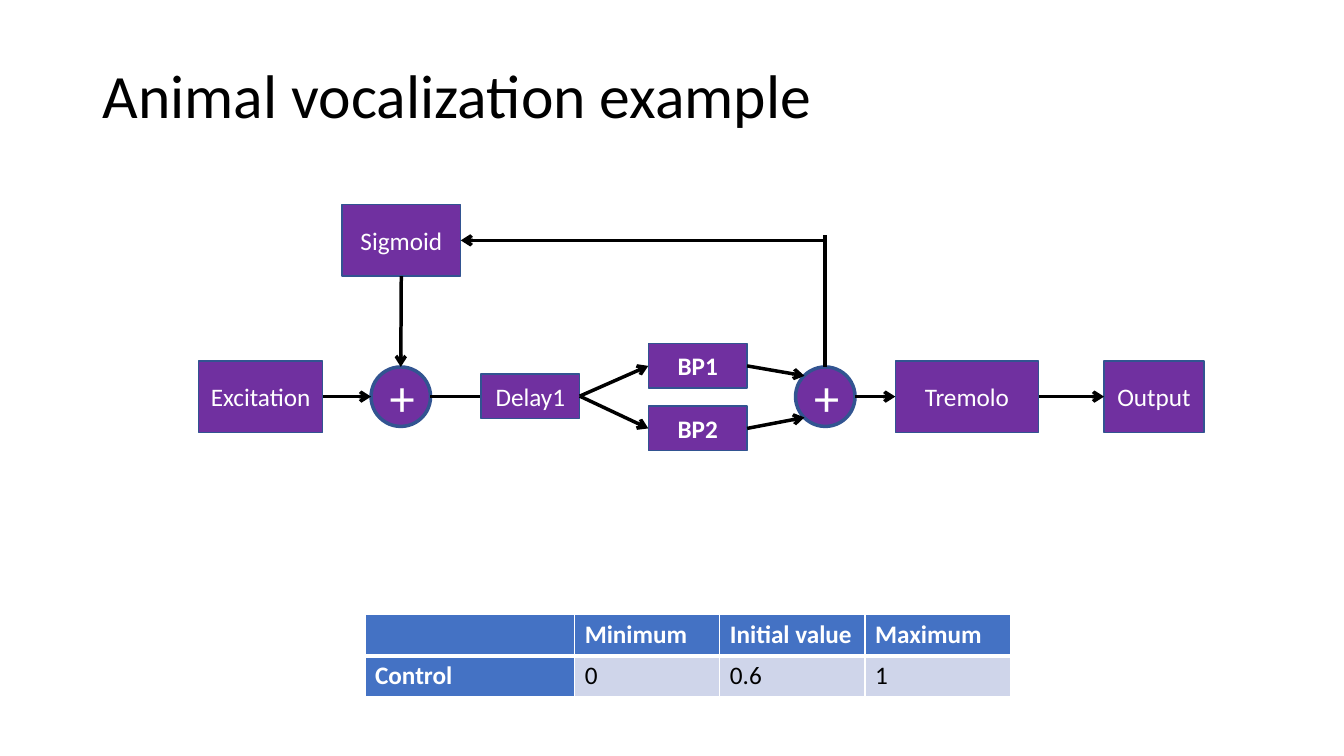
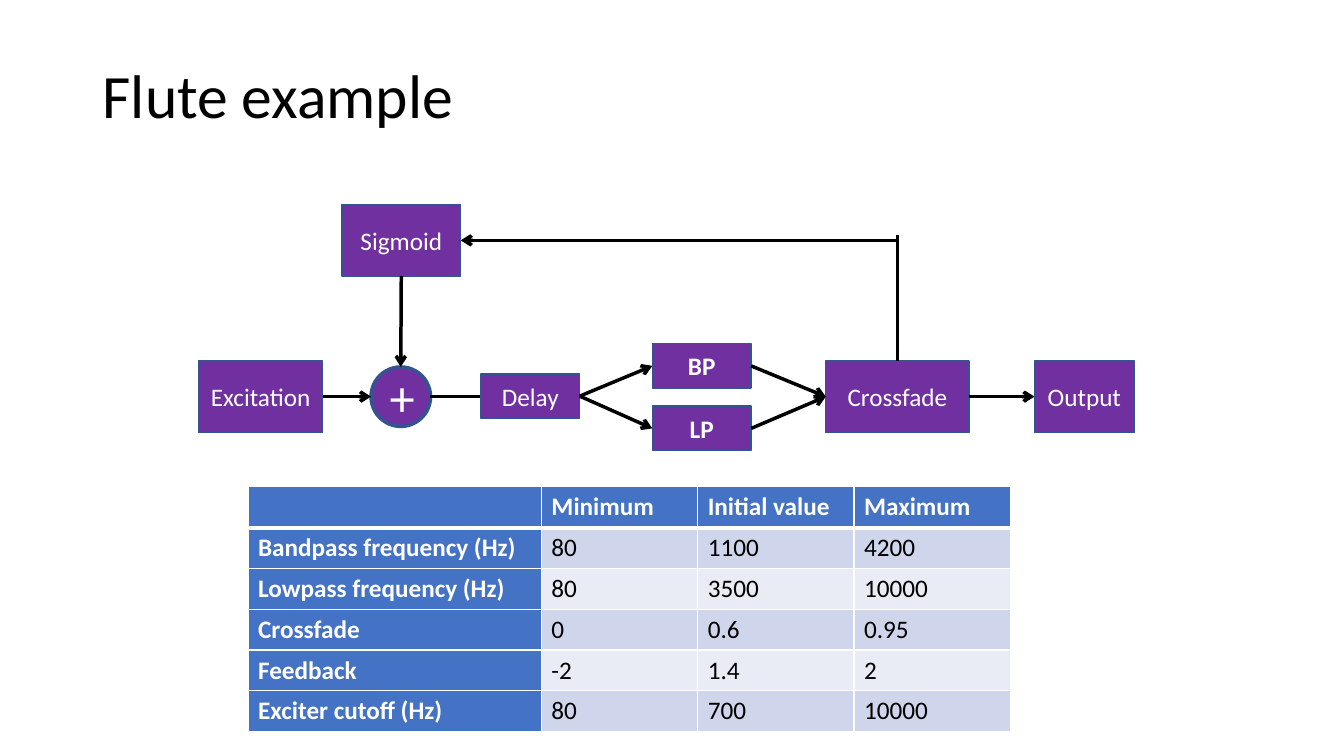
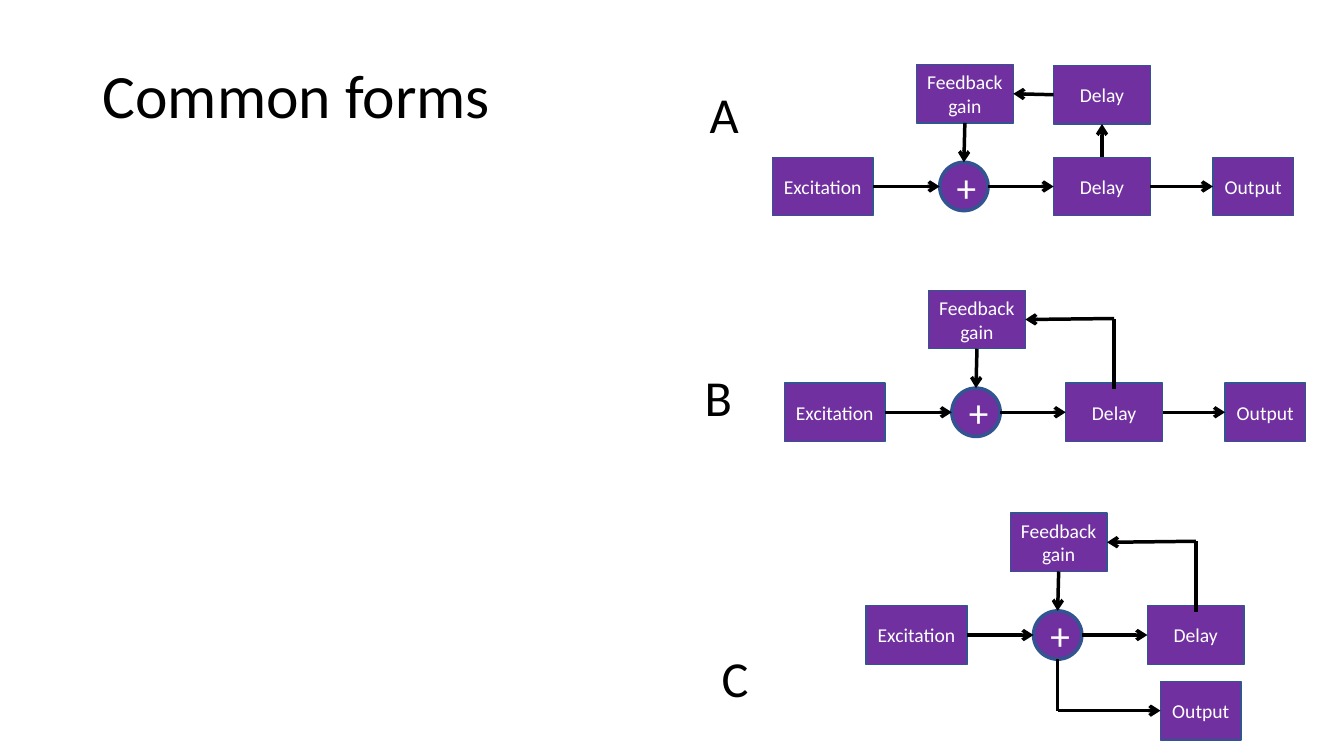
from lxml import etree
from pptx import Presentation
from pptx import util as u
from pptx.dml.color import RGBColor
from pptx.enum import shapes, text
from pptx.oxml import ns

PX = 9144  # 100 px to the inch
FONT = "Calibri"
BLACK = RGBColor(0x00, 0x00, 0x00)
WHITE = RGBColor(0xFF, 0xFF, 0xFF)
PURPLE = RGBColor(0x70, 0x30, 0xA0)
EDGE = RGBColor(0x32, 0x54, 0x91)
BLUE = RGBColor(0x44, 0x72, 0xC4)
BANDS = (RGBColor(0xCF, 0xD5, 0xEA), RGBColor(0xE9, 0xEB, 0xF5))

RECT = shapes.MSO_SHAPE.RECTANGLE
OVAL = shapes.MSO_SHAPE.OVAL
LEFT, RIGHT, TOP, BOTTOM = (0, 0.5), (1, 0.5), (0.5, 0), (0.5, 1)


def emu(*sizes):
    return [u.Emu(round(size * PX)) for size in sizes]


def shift(origin, box):
    return (origin[0] + box[0], origin[1] + box[1], *box[2:])


def spot(box, side):
    """Point of a box at the given fractions of its width and height."""
    x, y, w, h = box
    return x + w * side[0], y + h * side[1]


def write(para, words, size, color=WHITE, bold=False):
    para.text = words
    look = {"name": FONT, "size": u.Pt(size), "bold": bold}
    for run in para.runs:
        for key, value in look.items():
            setattr(run.font, key, value)
        run.font.color.rgb = color


def label(slide, box, words, size, wrap=False):
    frame = slide.shapes.add_textbox(*emu(*box)).text_frame
    frame.word_wrap = wrap
    write(frame.paragraphs[0], words, size, BLACK)
    return frame


def start(deck, title):
    """Add a blank slide with the shared title."""
    slide = deck.slides.add_slide(deck.slide_layouts[6])
    frame = label(slide, (92, 40, 1150, 116), title, 44, wrap=True)
    frame.vertical_anchor = text.MSO_ANCHOR.MIDDLE
    frame.paragraphs[0].line_spacing = 0.9
    return slide


def block(slide, box, words, size, bold=False, kind=RECT, edge=1):
    shape = slide.shapes.add_shape(kind, *emu(*box))
    shape.shadow.inherit = False
    shape.fill.solid()
    shape.fill.fore_color.rgb = PURPLE
    shape.line.color.rgb = EDGE
    shape.line.width = u.Pt(edge)
    frame = shape.text_frame
    frame.word_wrap = True
    frame.vertical_anchor = text.MSO_ANCHOR.MIDDLE
    para = frame.paragraphs[0]
    para.alignment = text.PP_ALIGN.CENTER
    write(para, words, size, WHITE, bold)
    return box


def adder(slide, box, size):
    return block(slide, box, "+", size, kind=OVAL, edge=2.5)


def link(slide, tail, head, arrow=True):
    line = slide.shapes.add_connector(
        shapes.MSO_CONNECTOR.STRAIGHT, *emu(*tail, *head))
    line.line.width = u.Pt(2.5)
    line.line.color.rgb = BLACK
    if arrow:
        etree.SubElement(line.get_or_add_ln(), ns.qn("a:tailEnd"), type="arrow")
    etree.SubElement(line.element.spPr, ns.qn("a:effectLst"))


def border(cell, top, bottom):
    props = cell._tc.get_or_add_tcPr()
    for side, width in {"L": 1, "R": 1, "T": top, "B": bottom}.items():
        line = etree.SubElement(props, ns.qn("a:ln" + side), w=str(u.Pt(width)))
        fill = etree.SubElement(line, ns.qn("a:solidFill"))
        etree.SubElement(fill, ns.qn("a:srgbClr"), val=str(WHITE))


def grid(slide, origin, widths, rows):
    """Table of control ranges under a shared header."""
    rows = [("", "Minimum", "Initial value", "Maximum"), *rows]
    high = 40.5
    box = (*origin, sum(widths), high * len(rows))
    table = slide.shapes.add_table(len(rows), len(widths), *emu(*box)).table
    table.first_col = True
    for col, width in zip(table.columns, emu(*widths)):
        col.width = width
    for r, row in enumerate(rows):
        table.rows[r].height = emu(high)[0]
        for c, words in enumerate(row):
            cell = table.cell(r, c)
            head = r == 0 or c == 0
            border(cell, 3 if r == 1 else 1, 3 if r == 0 else 1)
            cell.fill.solid()
            cell.fill.fore_color.rgb = BLUE if head else BANDS[(r - 1) % 2]
            if words:
                write(cell.text_frame.paragraphs[0], words, 18,
                      WHITE if head else BLACK, head)


def patch(slide, origin, delay, bands, left, last, far, mix=None):
    """Feedback patch: two filters from x left, then a last stage at x far.

    With mix, the filters meet in an adder at that x before the last stage.
    """
    def part(box, words, bold=False):
        return block(slide, shift(origin, box), words, 18, bold)

    source = part((0, 155, 123, 71), "Excitation")
    gain = part((142, 0, 118, 71), "Sigmoid")
    stage = part((far, 155, 142, 71), last)
    out = part((far + 207, 155, 99, 71), "Output")
    plus = adder(slide, shift(origin, (171, 161, 59, 59)), 36)
    hub, ports = stage, (LEFT, LEFT)
    if mix:
        hub = adder(slide, shift(origin, (mix, 161, 59, 59)), 36)
        ports = (0.15, 0.15), (0.15, 0.85)
        link(slide, spot(hub, RIGHT), spot(stage, LEFT))

    x, y = spot(plus, RIGHT)
    link(slide, (x, y), (x + 65, y))
    wait = part((280, 168, 98, 44), delay)
    for top, name, port in zip((138, 200), bands, ports):
        band = part((left, top, 98, 44), name, True)
        link(slide, spot(wait, RIGHT), spot(band, LEFT))
        link(slide, spot(band, RIGHT), spot(hub, port))

    link(slide, spot(source, RIGHT), spot(plus, LEFT))
    link(slide, spot(gain, BOTTOM), spot(plus, TOP))
    link(slide, spot(stage, RIGHT), spot(out, LEFT))
    x, y = spot(gain, RIGHT)
    turn = spot(hub, TOP)[0]
    link(slide, spot(hub, TOP), (turn, y - 5), arrow=False)
    link(slide, (turn, y), (x, y))


def form(slide, origin, twin=False, tap=False):
    """Small loop; twin adds a second delay, tap takes the output at the adder."""
    def part(box, words):
        return block(slide, shift(origin, box), words, 14)

    source = part((0, 92, 100, 58), "Excitation")
    delay = part((279, 92, 96, 58), "Delay")
    gain = part((143, 0, 96, 58), "Feedback\ngain")
    out = part((292, 167, 80, 58) if tap else (437, 92, 80, 58), "Output")
    plus = adder(slide, shift(origin, (166, 97, 48, 48)), 28)
    link(slide, spot(source, RIGHT), spot(plus, LEFT))
    link(slide, spot(gain, BOTTOM), spot(plus, TOP))
    link(slide, spot(plus, RIGHT), spot(delay, LEFT))

    if twin:
        back = part((279, 1, 96, 58), "Delay")
        link(slide, spot(delay, TOP), spot(back, BOTTOM))
        link(slide, spot(back, LEFT), spot(gain, RIGHT))
    else:
        x, y = spot(delay, (0.5, 0.1))
        turn = x, spot(gain, RIGHT)[1] - 1
        link(slide, (x, y), turn, arrow=False)
        link(slide, turn, spot(gain, RIGHT))

    if tap:
        turn = spot(plus, BOTTOM)[0], spot(out, LEFT)[1]
        link(slide, spot(plus, BOTTOM), turn, arrow=False)
        link(slide, turn, spot(out, LEFT))
    else:
        link(slide, spot(delay, RIGHT), spot(out, LEFT))


def main():
    deck = Presentation()
    deck.slide_width, deck.slide_height = u.Inches(13.33), u.Inches(7.5)

    slide = start(deck, "Animal vocalization example")
    grid(slide, (362, 610), (208, 144, 144, 144), [("Control", "0", "0.6", "1")])
    patch(slide, (197, 203), "Delay1", ("BP1", "BP2"), 446, "Tremolo", 691, 592)

    slide = start(deck, "Flute example")
    grid(slide, (246, 483), (291, 155, 155, 155), [
        ("Bandpass frequency (Hz)", "80", "1100", "4200"),
        ("Lowpass frequency (Hz)", "80", "3500", "10000"),
        ("Crossfade", "0", "0.6", "0.95"),
        ("Feedback", "-2", "1.4", "2"),
        ("Exciter cutoff (Hz)", "80", "700", "10000"),
    ])
    patch(slide, (197, 203), "Delay", ("BP", "LP"), 450, "Crossfade", 622)

    slide = start(deck, "Common forms")
    form(slide, (766, 64), twin=True)
    form(slide, (778, 288))
    form(slide, (859, 509), tap=True)
    for name, x, y in (("A", 694, 78), ("B", 689, 358), ("C", 706, 637)):
        label(slide, (x, y, 48, 71), name, 36)

    deck.save("out.pptx")


if __name__ == "__main__":
    main()
